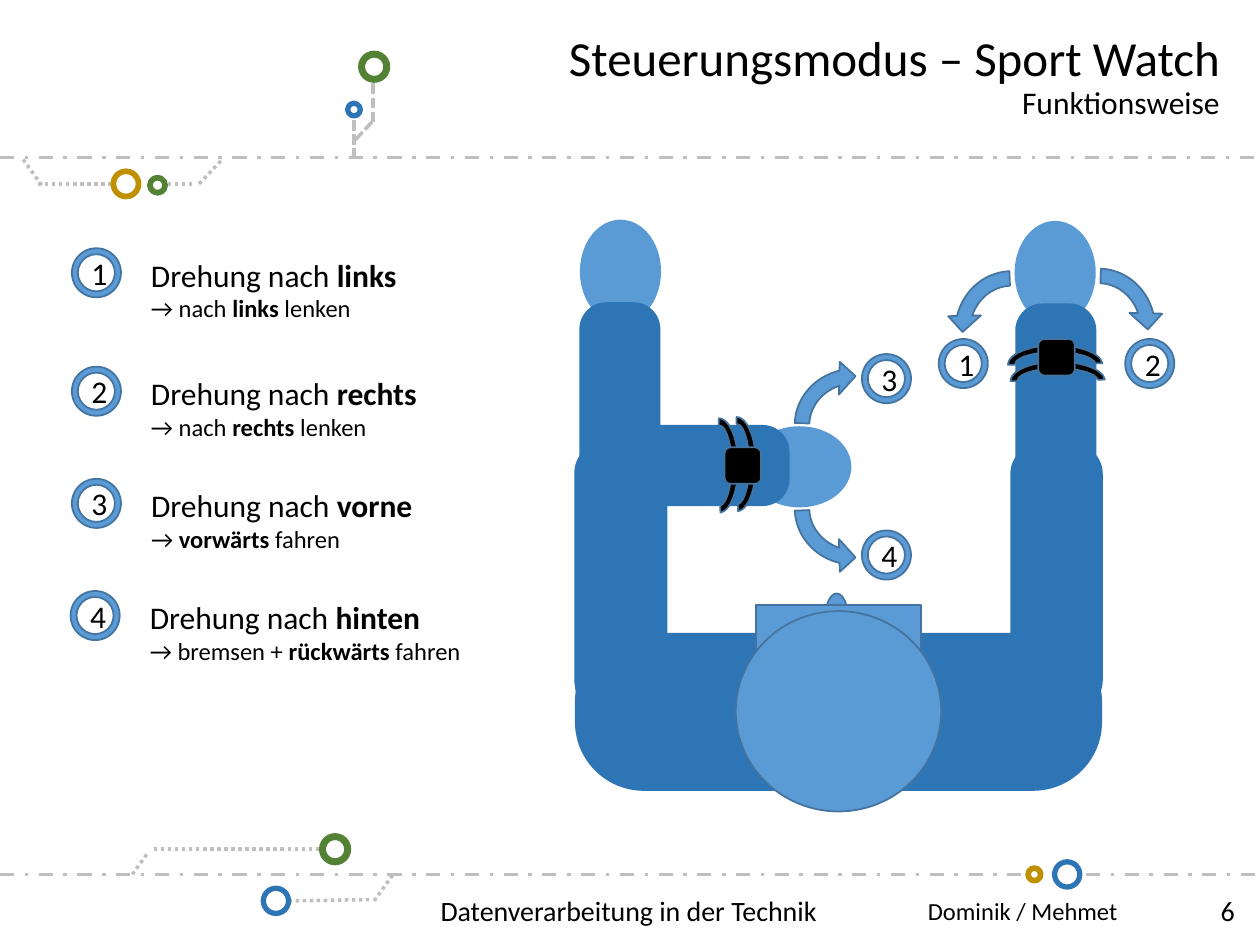
from dataclasses import dataclass

from lxml import etree
from pptx import Presentation
from pptx import util as u
from pptx.dml.color import RGBColor
from pptx.enum import dml, shapes, text
from pptx.oxml.ns import qn

SHAPE = shapes.MSO_SHAPE
DASH = dml.MSO_LINE
ALIGN = text.PP_ALIGN


@dataclass(frozen=True)
class Theme:
    font: str = "Calibri"
    ink: str = "000000"
    track: str = "BFBFBF"
    blue: str = "2E75B6"
    green: str = "548235"
    gold: str = "BF9000"
    skin: str = "5B9BD5"
    edge: str = "43739E"
    title: int = 28
    heading: int = 18
    footer: int = 16
    detail: int = 14


THEME = Theme()


def rgb(value):
    return RGBColor.from_string(value)


def add_track(page, start, end, dash):
    """Dashed circuit line of the page frame."""
    track = page.shapes.add_connector(
        shapes.MSO_CONNECTOR.STRAIGHT, *(u.Inches(v) for v in (*start, *end)))
    track.line.color.rgb = rgb(THEME.track)
    track.line.width = u.Pt(2)
    track.line.dash_style = dash
    etree.SubElement(track._element.spPr, qn("a:effectLst"))


def add_form(page, kind, at, fill=None, line=THEME.edge, width=1,
             adjust=(), turn=0, flip=False):
    form = page.shapes.add_shape(kind, *(u.Inches(v) for v in at))
    form.shadow.inherit = False
    if fill:
        form.fill.solid()
        form.fill.fore_color.rgb = rgb(fill)
    else:
        form.fill.background()
    form.line.color.rgb = rgb(line)
    form.line.width = u.Pt(width)
    for index, value in enumerate(adjust):
        form.adjustments[index] = value
    form.rotation = turn
    if flip:
        form._element.spPr.find(qn("a:xfrm")).set("flipH", "1")
    return form


def add_node(page, left, top, size, color, width):
    add_form(page, SHAPE.OVAL, (left, top, size, size), line=color, width=width)


def add_span(para, words, size, bold=False):
    span = para.add_run()
    span.text = words
    span.font.name = THEME.font
    span.font.size = u.Pt(size)
    span.font.bold = bold
    span.font.color.rgb = rgb(THEME.ink)


def add_lines(page, at, lines, align, spacing=None):
    """Text box without insets, one (words, size) pair a paragraph."""
    box = page.shapes.add_textbox(*(u.Inches(v) for v in at))
    frame = box.text_frame
    frame.word_wrap = True
    frame.vertical_anchor = text.MSO_ANCHOR.MIDDLE
    frame.margin_left = frame.margin_right = frame.margin_top = frame.margin_bottom = 0
    for index, (words, size) in enumerate(lines):
        para = frame.add_paragraph() if index else frame.paragraphs[0]
        para.alignment = align
        if spacing:
            para.line_spacing = spacing
        add_span(para, words, size)


def add_badge(page, left, top, number):
    badge = add_form(page, SHAPE.DONUT, (left, top, 0.39, 0.39), THEME.skin,
                     adjust=[0.123])
    badge.text_frame.vertical_anchor = text.MSO_ANCHOR.MIDDLE
    para = badge.text_frame.paragraphs[0]
    para.alignment = ALIGN.CENTER
    add_span(para, str(number), THEME.heading)


def add_step(page, left, top, width, number, direction, before, strong, after):
    """Numbered legend entry: movement and its effect."""
    add_badge(page, left, top, number)
    box = page.shapes.add_textbox(u.Inches(left + 0.53), u.Inches(top + 0.01),
                                  u.Inches(width), u.Inches(0.64))
    frame = box.text_frame
    frame.word_wrap = False
    frame.auto_size = text.MSO_AUTO_SIZE.SHAPE_TO_FIT_TEXT
    heading = frame.paragraphs[0]
    add_span(heading, "Drehung nach ", THEME.heading)
    add_span(heading, direction, THEME.heading, True)
    effect = frame.add_paragraph()
    add_span(effect, "→ " + before, THEME.detail)
    add_span(effect, strong, THEME.detail, True)
    add_span(effect, after, THEME.detail)


def add_limb(page, at, turn=0, corner=0.329):
    add_form(page, SHAPE.ROUNDED_RECTANGLE, at, THEME.blue, THEME.blue,
             adjust=[corner], turn=turn)


def add_hand(page, left, top, turn=0):
    add_form(page, SHAPE.OVAL, (left, top, 0.63, 0.81), THEME.skin, THEME.skin,
             turn=turn)


def add_watch(page, straps, case, turn=0):
    for left, top in straps:
        add_form(page, SHAPE.BLOCK_ARC, (left, top, 0.75, 0.31), THEME.ink,
                 adjust=[108, 214.844, 0.174], turn=turn)
    add_form(page, SHAPE.ROUNDED_RECTANGLE, (*case, 0.29, 0.29), THEME.ink, turn=turn)


def add_movement(page, arrow, badge, number, turn=0, flip=False):
    add_form(page, SHAPE.CIRCULAR_ARROW, (*arrow, 1.04, 1.09), THEME.skin,
             adjust=[0.111, 11.423, 205.435, 163.339, 0.125], turn=turn, flip=flip)
    add_badge(page, *badge, number)


def add_page_frame(page):
    # Long rules
    for start, end in [((0, 1.25), (10, 1.25)), ((0, 6.94), (8.16, 6.94)),
                       ((8.62, 6.94), (9.98, 6.94))]:
        add_track(page, start, end, DASH.DASH_DOT)
    # Dotted branches
    for start, end in [((1.22, 6.74), (2.57, 6.74)), ((1.05, 6.94), (1.18, 6.76)),
                       ((2.97, 7.15), (3.12, 6.94)), ((2.29, 7.15), (2.93, 7.14)),
                       ((1.58, 1.46), (1.77, 1.26)), ((1.33, 1.46), (1.55, 1.46)),
                       ((0.3, 1.46), (0.91, 1.46)), ((0.33, 1.47), (0.18, 1.26))]:
        add_track(page, start, end, DASH.ROUND_DOT)
    # Dashed branch
    for start, end in [((2.81, 1.26), (2.81, 0.9)), ((2.82, 1.11), (2.96, 0.96)),
                       ((2.96, 0.97), (2.96, 0.64))]:
        add_track(page, start, end, DASH.SQUARE_DOT)
    # Ring nodes
    for node in [(8.37, 6.84, 0.2, THEME.blue, 3), (8.16, 6.89, 0.1, THEME.gold, 3.25),
                 (2.56, 6.64, 0.2, THEME.green, 4), (2.09, 7.05, 0.2, THEME.blue, 3),
                 (1.19, 1.41, 0.12, THEME.green, 3.25),
                 (0.9, 1.36, 0.2, THEME.gold, 3.25),
                 (2.76, 0.82, 0.1, THEME.blue, 3), (2.87, 0.43, 0.2, THEME.green, 4)]:
        add_node(page, *node)


def add_page_text(page):
    add_lines(page, (3.19, 0.14, 6.49, 0.95),
              [("Steuerungsmodus – Sport Watch", THEME.title),
               ("Funktionsweise", THEME.heading)], ALIGN.RIGHT, 0.9)
    for width, words, size, align in [
            (8.87, "Dominik / Mehmet", THEME.detail, ALIGN.RIGHT),
            (9.8, "6", THEME.footer, ALIGN.RIGHT),
            (9.98, "Datenverarbeitung in der Technik", THEME.footer, ALIGN.CENTER)]:
        add_lines(page, (0, 6.95, width, 0.55), [(words, size)], align)


def add_person(page):
    # Nose, shoulders, cap and head
    add_form(page, SHAPE.OVAL, (6.55, 4.71, 0.18, 0.38), THEME.skin)
    add_limb(page, (4.57, 5.03, 4.17, 1.24), corner=0.436)
    add_form(page, SHAPE.FRAME, (6, 4.8, 1.31, 1.31), THEME.skin, adjust=[0.191])
    add_form(page, SHAPE.OVAL, (5.84, 4.85, 1.63, 1.59), THEME.skin)
    # Right arm
    add_hand(page, 8.06, 1.76)
    add_limb(page, (7.33, 4.22, 2.11, 0.72), 270)
    add_limb(page, (7.67, 2.81, 1.42, 0.63), 270)
    # Left arm, bent inwards
    add_hand(page, 6.03, 3.3, 90)
    add_limb(page, (3.86, 4.24, 2.14, 0.72), 270)
    add_limb(page, (4.66, 3.38, 1.6, 0.63))
    # Watches
    add_watch(page, [(5.33, 3.54), (5.47, 3.53)], (5.75, 3.55), 90)
    add_watch(page, [(8.02, 2.87), (8, 2.74)], (8.24, 2.69))
    # Movements
    add_movement(page, (7.51, 2.08), (7.45, 2.69), 1, flip=True)
    add_movement(page, (8.2, 2.06), (8.93, 2.69), 2)
    add_movement(page, (6.26, 2.83), (6.84, 2.81), 3, turn=270)
    add_movement(page, (6.26, 3.49), (6.84, 4.21), 4, turn=270, flip=True)
    # Left arm, stretched
    add_hand(page, 4.61, 1.75)
    add_limb(page, (3.87, 4.21, 2.11, 0.72), 270)
    add_limb(page, (4.21, 2.8, 1.42, 0.63), 270)


def main():
    deck = Presentation()
    deck.slide_width, deck.slide_height = u.Inches(10), u.Inches(7.5)
    page = deck.slides.add_slide(deck.slide_layouts[6])
    add_page_frame(page)
    add_page_text(page)
    add_person(page)
    # Legend
    add_step(page, 0.57, 1.97, 2.16, 1, "links", "nach ", "links ", "lenken")
    add_step(page, 0.57, 2.91, 2.33, 2, "rechts", "nach ", "rechts ", "lenken")
    add_step(page, 0.57, 3.8, 2.29, 3, "vorne", "", "vorwärts", " fahren")
    add_step(page, 0.56, 4.69, 2.68, 4, "hinten", "bremsen + ", "rückwärts", " fahren")
    deck.save("out.pptx")


if __name__ == "__main__":
    main()
